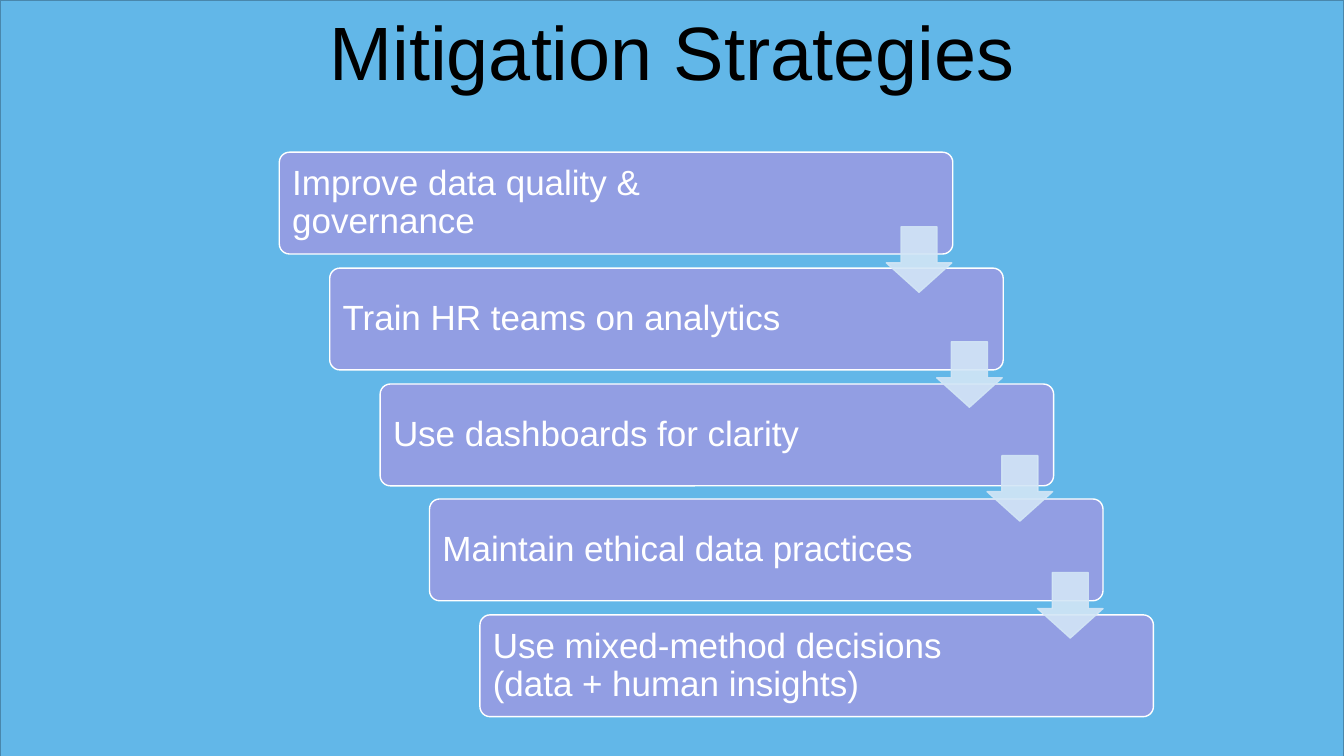
"""Build the Mitigation Strategies slide: a staircase of steps joined by arrows."""
from dataclasses import dataclass

from lxml import etree
from pptx import Presentation
from pptx import util as u
from pptx.dml.color import RGBColor
from pptx.enum import shapes, text
from pptx.oxml.ns import qn

PX = 9144
FONT = "Arial"
SKY, SKY_EDGE = "62B7E8", "4987AC"
STEP_FILL, ARROW_FILL = "929EE3", "D3E6F6"
WHITE, BLACK = "FFFFFF", "000000"
FIRST_LEFT, FIRST_TOP = 277, 151
SHIFT, PITCH = 49.8, 114.8
STEP_WIDTH, STEP_HEIGHT = 668, 101
ARROW_LEFT, ARROW_SHIFT, ARROW_SIZE = 879, 50, 65
ARROW_TOPS = (225, 339, 452, 568)
STEPS = (
    "Improve data quality & governance",
    "Train HR teams on analytics",
    "Use dashboards for clarity",
    "Maintain ethical data practices",
    "Use mixed-method decisions (data + human insights)",
)


@dataclass(frozen=True)
class Box:
    """A rectangle in px."""

    left: int
    top: int
    width: int
    height: int

    def emu(self) -> tuple[int, ...]:
        """Return the four lengths in EMU."""
        return tuple(value * PX for value in (self.left, self.top, self.width, self.height))


@dataclass(frozen=True)
class Label:
    """The wording and look of a text box."""

    words: str
    size: int
    color: str
    align: text.PP_ALIGN
    anchor: text.MSO_ANCHOR
    inset: int = 10
    spacing: float = 1.0
    autosize: text.MSO_AUTO_SIZE = text.MSO_AUTO_SIZE.NONE


def rgb(value: str) -> RGBColor:
    """Turn a hex string into a colour."""
    return RGBColor.from_string(value)


def add_shape(slide, kind, box: Box, fill: str, line: str, adjustments: tuple[float, ...] = ()):
    """Draw a filled and outlined preset shape."""
    shape = slide.shapes.add_shape(kind, *box.emu())
    shape.shadow.inherit = False
    shape.fill.solid()
    shape.fill.fore_color.rgb = rgb(fill)
    shape.line.color.rgb = rgb(line)
    shape.line.width = u.Pt(1)
    for index, value in enumerate(adjustments):
        shape.adjustments[index] = value
    return shape


def set_opacity(shape, percent: int) -> None:
    """Make the fill and the outline of a shape translucent."""
    for color in shape.element.spPr.iter(qn("a:srgbClr")):
        etree.SubElement(color, qn("a:alpha"), val=str(percent * 1000))


def add_label(slide, box: Box, label: Label) -> None:
    """Write a one-run text box."""
    frame = slide.shapes.add_textbox(*box.emu()).text_frame
    frame.word_wrap = True
    frame.auto_size = label.autosize
    frame.vertical_anchor = label.anchor
    frame.margin_left = frame.margin_right = label.inset * PX
    frame.margin_top = frame.margin_bottom = label.inset * PX
    paragraph = frame.paragraphs[0]
    paragraph.alignment = label.align
    paragraph.line_spacing = label.spacing
    run = paragraph.add_run()
    run.text = label.words
    run.font.name = FONT
    run.font.size = u.Pt(label.size)
    run.font.color.rgb = rgb(label.color)


def add_step(slide, index: int, words: str) -> None:
    """Draw one stair with its wording."""
    left = round(FIRST_LEFT + index * SHIFT)
    top = round(FIRST_TOP + index * PITCH)
    box = Box(left, top, STEP_WIDTH, STEP_HEIGHT)
    add_shape(slide, shapes.MSO_SHAPE.ROUNDED_RECTANGLE, box, STEP_FILL, WHITE, (0.1,))
    label = Label(words, 25, WHITE, text.PP_ALIGN.LEFT, text.MSO_ANCHOR.MIDDLE, spacing=0.9)
    add_label(slide, Box(left + 3, top + 3, 547, 95), label)


def add_arrow(slide, index: int, top: int) -> None:
    """Draw the arrow that leads to the next stair."""
    box = Box(ARROW_LEFT + index * ARROW_SHIFT, top, ARROW_SIZE, ARROW_SIZE)
    arrow = add_shape(slide, shapes.MSO_SHAPE.DOWN_ARROW, box, ARROW_FILL, ARROW_FILL, (0.55, 0.45))
    set_opacity(arrow, 90)


def main() -> None:
    """Build and save the slide."""
    presentation = Presentation()
    presentation.slide_width, presentation.slide_height = 1333 * PX, 750 * PX
    slide = presentation.slides.add_slide(presentation.slide_layouts[6])
    add_shape(slide, shapes.MSO_SHAPE.RECTANGLE, Box(0, 0, 1333, 793), SKY, SKY_EDGE)
    title = Label("Mitigation Strategies", 54, BLACK, text.PP_ALIGN.CENTER, text.MSO_ANCHOR.TOP,
                  inset=5, autosize=text.MSO_AUTO_SIZE.SHAPE_TO_FIT_TEXT)
    add_label(slide, Box(0, 0, 1333, 131), title)
    for index, words in enumerate(STEPS):
        add_step(slide, index, words)
    for index, top in enumerate(ARROW_TOPS):
        add_arrow(slide, index, top)
    presentation.save("out.pptx")


if __name__ == "__main__":
    main()
